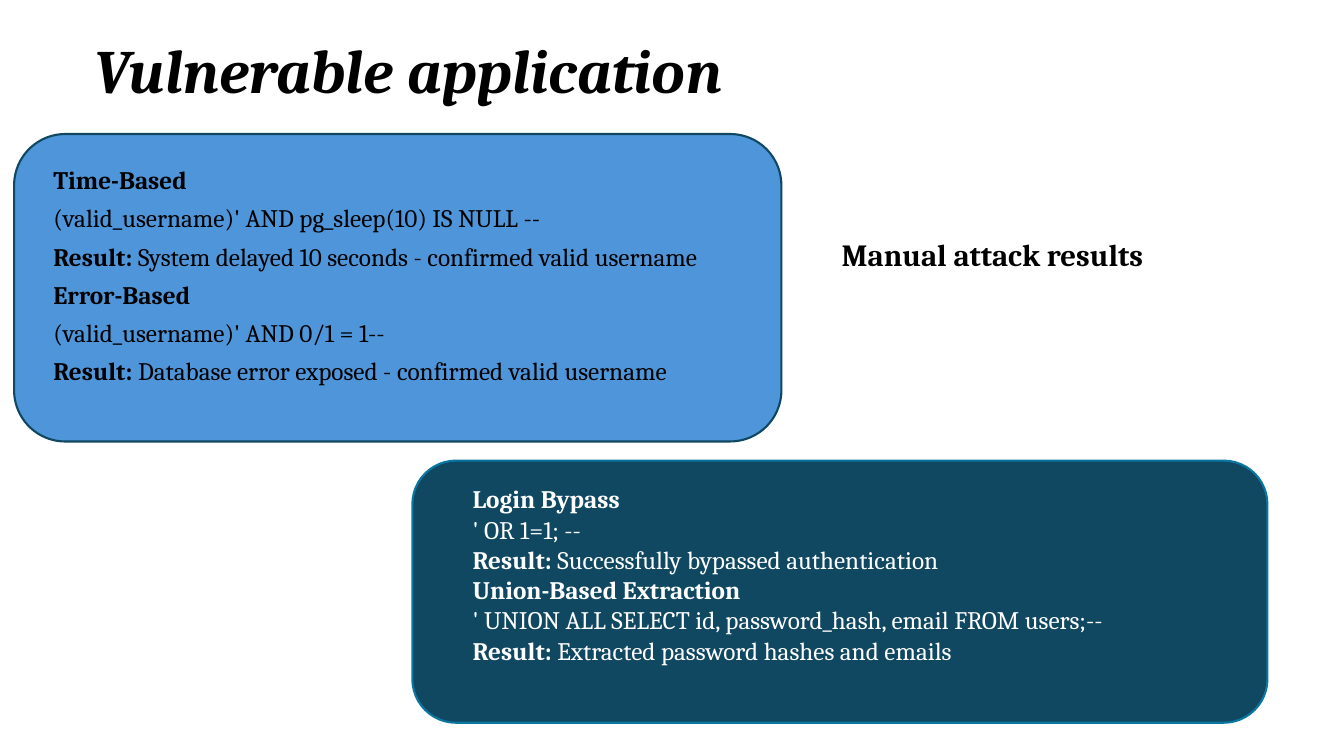
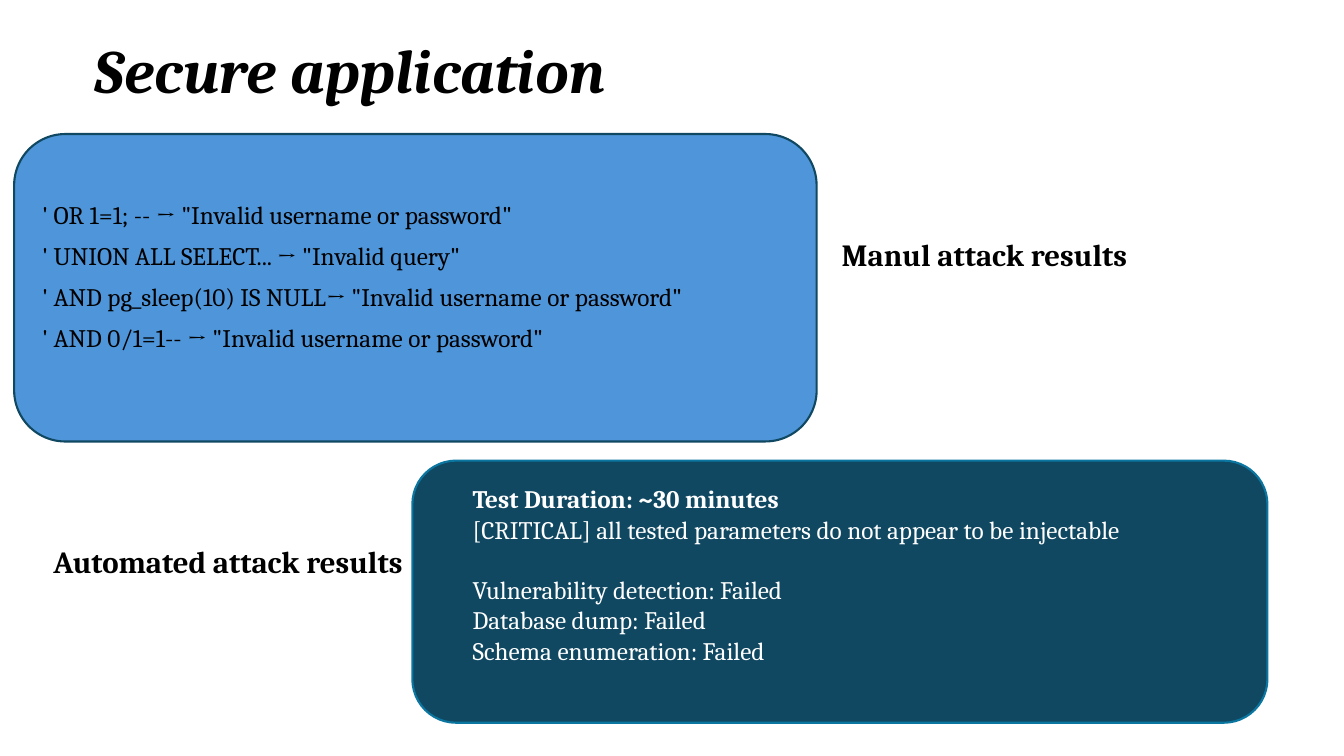
"""Build two slides comparing attack results on a vulnerable and a secure application."""
from pptx import Presentation
from pptx.dml.color import RGBColor
from pptx.enum.shapes import MSO_SHAPE
from pptx.enum.text import MSO_ANCHOR, MSO_AUTO_SIZE, PP_ALIGN
from pptx.util import Inches, Pt

ROUND = MSO_SHAPE.ROUNDED_RECTANGLE
MIDDLE = MSO_ANCHOR.MIDDLE
NO_FIT = MSO_AUTO_SIZE.NONE
LEFT = PP_ALIGN.LEFT

FONT = "Cambria"
BLACK, WHITE = "000000", "FFFFFF"
BLUE, NAVY, TEAL = "4E95D9", "104862", "0B76A0"

TITLE = (6.3, 0, 86.27, 19.33)
LOWER_PANEL = (30.68, 60.93, 63.62, 34.67)
LOWER_TEXT = (34.43, 63.33, 59.86, 25.6)
RIGHT_LABEL = (61.89, 30.53, 30.08, 6.27)
LEFT_LABEL = (3.23, 71.07, 30.08, 11.2)

SLIDES = [
    {
        "title": "Vulnerable application",
        "panel": (1.05, 17.73, 57.09, 40.67),
        "body": (3.23, 21.87, 55, 34.67),
        "spacing": 0.8,
        "upper": [
            ("Time-Based", ""),
            ("", "(valid_username)' AND pg_sleep(10) IS NULL --"),
            ("Result:", " System delayed 10 seconds - confirmed valid username"),
            ("Error-Based", ""),
            ("", "(valid_username)' AND 0/1 = 1--"),
            ("Result:", " Database error exposed - confirmed valid username"),
        ],
        "lower": [
            ("Login Bypass", ""),
            ("", "' OR 1=1; --"),
            ("Result:", " Successfully bypassed authentication"),
            ("Union-Based Extraction", ""),
            ("", "' UNION ALL SELECT id, password_hash, email FROM users;--"),
            ("Result:", " Extracted password hashes and emails"),
        ],
        "gaps": {},
        "labels": [("Manual attack results", RIGHT_LABEL)],
    },
    {
        "title": "Secure application",
        "panel": (1.05, 17.73, 59.71, 40.67),
        "body": (2.4, 26.13, 57.76, 27.73),
        "spacing": 0.9,
        "upper": [
            ("", "' OR 1=1; -- → \"Invalid username or password\""),
            ("", "' UNION ALL SELECT... → \"Invalid query\""),
            ("", "' AND pg_sleep(10) IS NULL→ \"Invalid username or password\""),
            ("", "' AND 0/1=1-- → \"Invalid username or password\""),
        ],
        "lower": [
            ("Test Duration: ~30 minutes", ""),
            ("", "[CRITICAL] all tested parameters do not appear to be injectable"),
            ("", "Vulnerability detection: Failed"),
            ("", "Database dump: Failed"),
            ("", "Schema enumeration: Failed"),
        ],
        "gaps": {2: 21.6},
        "labels": [
            ("Manul attack results", RIGHT_LABEL),
            ("Automated attack results", LEFT_LABEL),
        ],
    },
]

prs = Presentation()
prs.slide_width, prs.slide_height = Inches(13.33), Inches(7.5)


def share(box):
    """Turn percentages of the slide into left, top, width and height."""
    sides = (prs.slide_width, prs.slide_height) * 2
    return [int(side * part / 100) for side, part in zip(sides, box)]


def write(tf, lines, size, color, spacing=1.0, before=0, gaps={}, italic=False):
    """Fill a text frame with lines of a bold and a plain part."""
    tf.word_wrap = True
    tf.auto_size = NO_FIT
    for i, parts in enumerate(lines):
        p = tf.paragraphs[0] if i == 0 else tf.add_paragraph()
        p.alignment = LEFT
        p.line_spacing = spacing
        p.space_before = Pt(gaps.get(i, before))
        for text, bold in zip(parts, (True, False)):
            if text:
                r = p.add_run()
                r.text = text
                r.font.name = FONT
                r.font.size = Pt(size)
                r.font.bold = bold
                r.font.italic = italic
                r.font.color.rgb = RGBColor.from_string(color)


for data in SLIDES:
    s = prs.slides.add_slide(prs.slide_layouts[5])

    title = s.shapes.title
    title.left, title.top, title.width, title.height = share(TITLE)
    title.text_frame.vertical_anchor = MIDDLE
    write(title.text_frame, [(data["title"], "")], 44, BLACK, 0.9, italic=True)

    for box, fill, line in ((LOWER_PANEL, NAVY, TEAL), (data["panel"], BLUE, NAVY)):
        sp = s.shapes.add_shape(ROUND, *share(box))
        sp.shadow.inherit = False
        sp.fill.solid()
        sp.fill.fore_color.rgb = RGBColor.from_string(fill)
        sp.line.color.rgb = RGBColor.from_string(line)
        sp.line.width = Pt(1.5)

    upper = s.shapes.add_textbox(*share(data["body"]))
    write(upper.text_frame, data["upper"], 18, BLACK, data["spacing"], 10)

    lower = s.shapes.add_textbox(*share(LOWER_TEXT))
    write(lower.text_frame, data["lower"], 18, WHITE, gaps=data["gaps"])

    for text, box in data["labels"]:
        label = s.shapes.add_textbox(*share(box))
        write(label.text_frame, [(text, "")], 22, BLACK)

prs.save("out.pptx")
